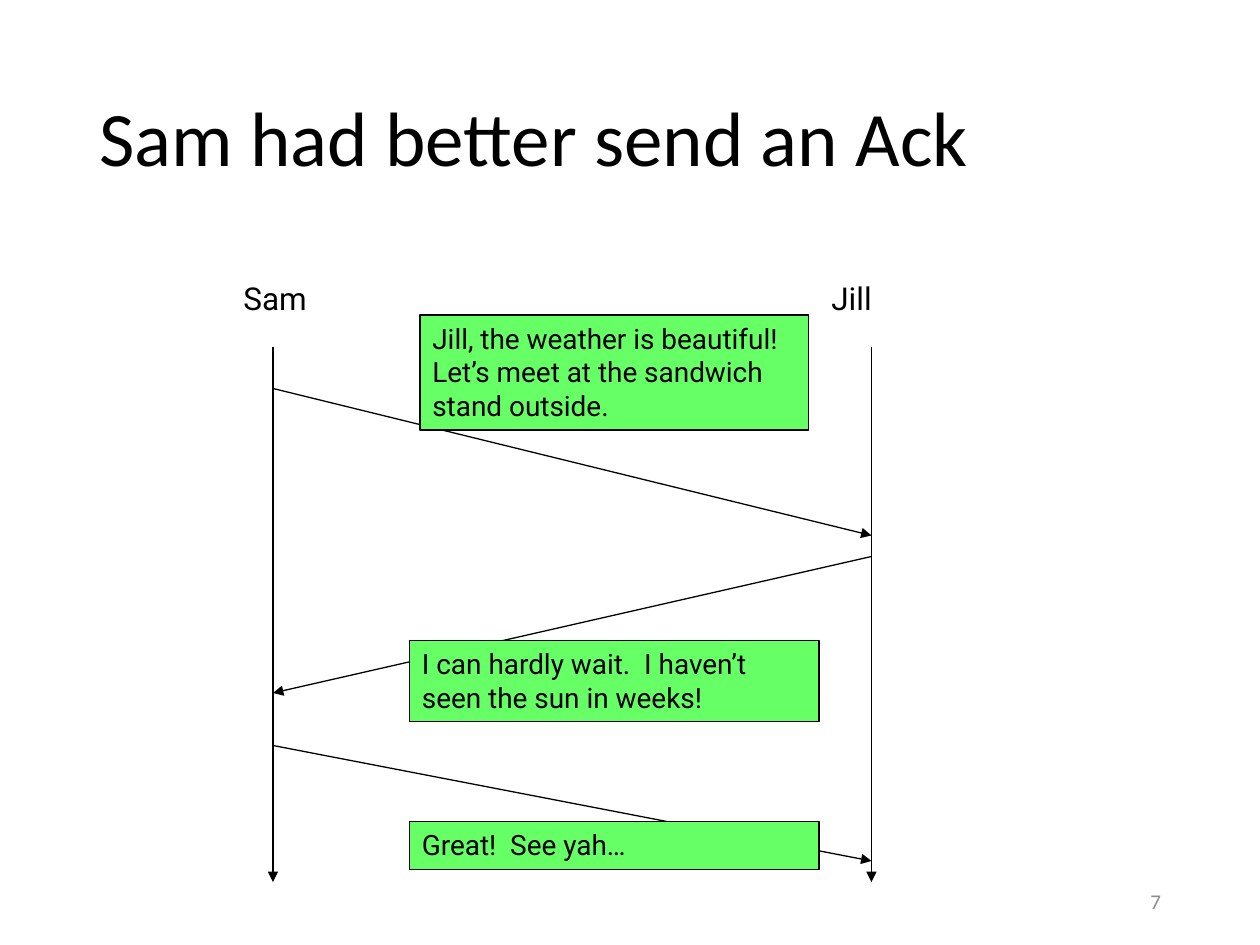
from pptx import Presentation
from pptx.dml.color import RGBColor
from pptx.enum.shapes import MSO_CONNECTOR, MSO_SHAPE
from pptx.enum.text import MSO_ANCHOR, MSO_AUTO_SIZE, PP_ALIGN
from pptx.oxml.ns import qn
from pptx.util import Pt
from lxml import etree

STRAIGHT = MSO_CONNECTOR.STRAIGHT
RECTANGLE = MSO_SHAPE.RECTANGLE
TOP, MIDDLE = MSO_ANCHOR.TOP, MSO_ANCHOR.MIDDLE
LEFT, RIGHT = PP_ALIGN.LEFT, PP_ALIGN.RIGHT
NO_AUTOFIT = MSO_AUTO_SIZE.NONE
TITLE_ONLY = 5

# Content
TITLE = "Sam had better send an Ack"
PAGE_NUMBER = "7"
# name: (lifeline x, label left)
PEOPLE = {"Sam": (156, 132), "Jill": (498, 468)}
# sender, receiver, sent y, received y, text, note box (left, top, width, height)
MESSAGES = [
    ("Sam", "Jill", 222, 306,
     "Jill, the weather is beautiful!  Let’s meet at the sandwich stand outside.",
     (240, 180, 222, 65.8)),
    ("Jill", "Sam", 318, 396,
     "I can hardly wait.  I haven’t seen the sun in weeks!",
     (234, 366, 234, 46.5)),
    ("Sam", "Jill", 426, 492, "Great!  See yah…",
     (234, 469.5, 234, 27.3)),
]
LIFELINE_TOP, LIFELINE_BOTTOM = 198, 504
LABEL_TOP, LABEL_WIDTH, LABEL_HEIGHT = 156, 78, 28.8

THEME = {
    "ink": RGBColor(0x00, 0x00, 0x00),
    "muted": RGBColor(0x8C, 0x8C, 0x8C),
    "note": RGBColor(0x66, 0xFF, 0x66),
    "heading_font": "Calibri",
    "body_font": "Roboto",
    "title_size": 44,
    "label_size": 18,
    "note_size": 16,
    "number_size": 12,
    "line_width": 0.75,
}


def place(shape, left, top, width, height):
    shape.left, shape.top = Pt(left), Pt(top)
    shape.width, shape.height = Pt(width), Pt(height)


def write(shape, text, size, font, color="ink", align=LEFT, anchor=TOP):
    frame = shape.text_frame
    frame.text = text
    frame.word_wrap = True
    frame.auto_size = NO_AUTOFIT
    frame.vertical_anchor = anchor
    para = frame.paragraphs[0]
    para.alignment = align
    span = para.runs[0]
    span.font.size = Pt(THEME[size])
    span.font.name = THEME[font]
    span.font.color.rgb = THEME[color]
    return para


def add_text(page, bounds, *style, **options):
    box = page.shapes.add_textbox(*map(Pt, bounds))
    write(box, *style, **options)


def add_arrow(page, x1, y1, x2, y2):
    arrow = page.shapes.add_connector(STRAIGHT, Pt(x1), Pt(y1), Pt(x2), Pt(y2))
    arrow.line.color.rgb = THEME["ink"]
    arrow.line.width = Pt(THEME["line_width"])
    etree.SubElement(arrow.line._get_or_add_ln(), qn("a:tailEnd"), type="triangle")
    etree.SubElement(arrow._element.spPr, qn("a:effectLst"))


def add_note(page, bounds, text):
    note = page.shapes.add_shape(RECTANGLE, *map(Pt, bounds))
    note.shadow.inherit = False
    note.fill.solid()
    note.fill.fore_color.rgb = THEME["note"]
    note.line.color.rgb = THEME["ink"]
    note.line.width = Pt(THEME["line_width"])
    write(note, text, "note_size", "body_font")


def main():
    deck = Presentation()
    deck.slide_width, deck.slide_height = Pt(720), Pt(540)
    page = deck.slides.add_slide(deck.slide_layouts[TITLE_ONLY])

    # Title and page number
    title = page.shapes.title
    place(title, 49.5, 28.75, 621, 104.4)
    para = write(title, TITLE, "title_size", "heading_font", anchor=MIDDLE)
    para.line_spacing = 0.9
    add_text(page, (508.5, 500.5, 162, 28.75), PAGE_NUMBER, "number_size",
             "heading_font", color="muted", align=RIGHT, anchor=MIDDLE)

    # Lifelines with names
    for name, (x, label_left) in PEOPLE.items():
        add_arrow(page, x, LIFELINE_TOP, x, LIFELINE_BOTTOM)
        add_text(page, (label_left, LABEL_TOP, LABEL_WIDTH, LABEL_HEIGHT),
                 name, "label_size", "body_font")

    # Messages, each arrow beneath its note
    for sender, receiver, sent, received, text, bounds in MESSAGES:
        add_arrow(page, PEOPLE[sender][0], sent, PEOPLE[receiver][0], received)
        add_note(page, bounds, text)

    deck.save("out.pptx")


if __name__ == "__main__":
    main()
